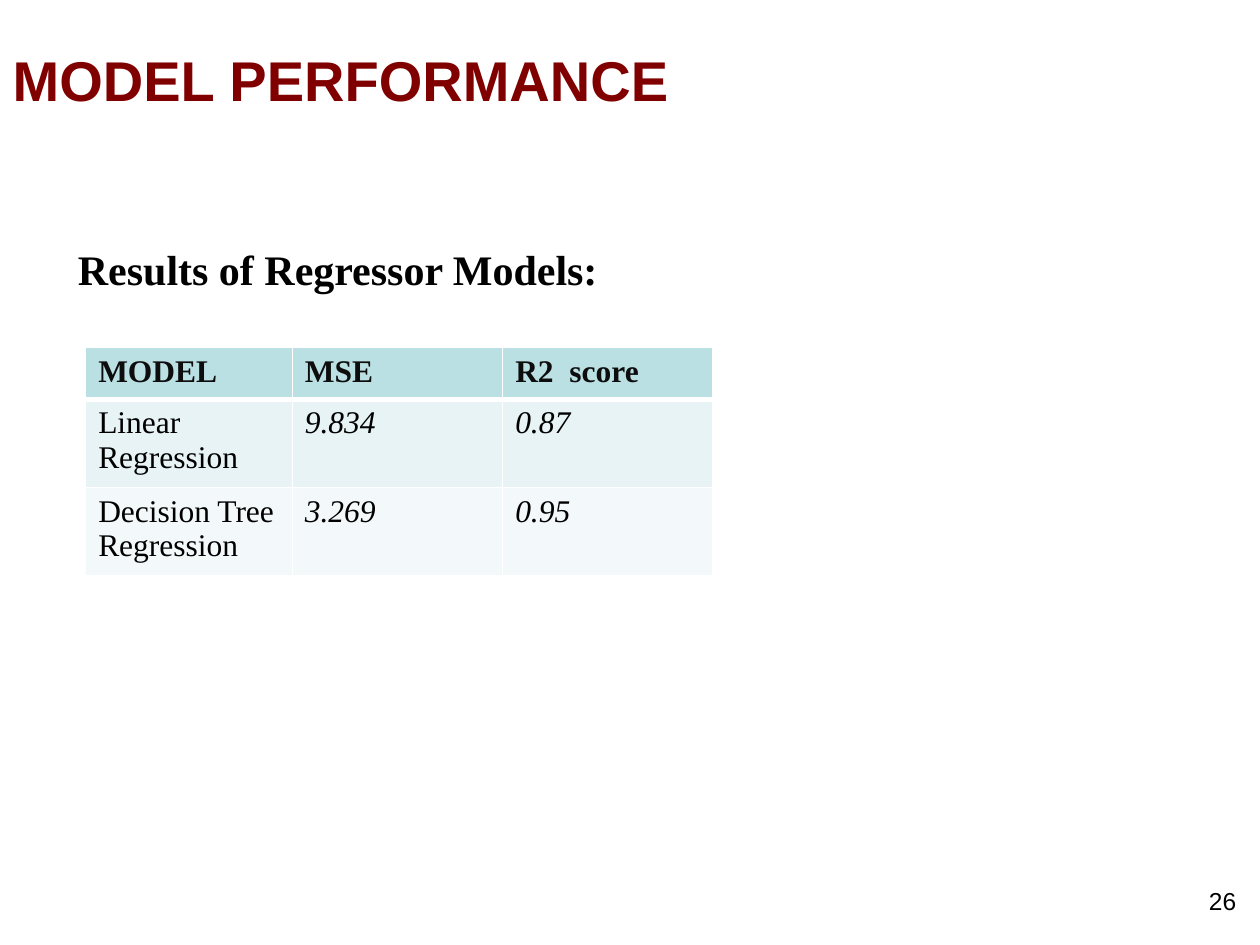
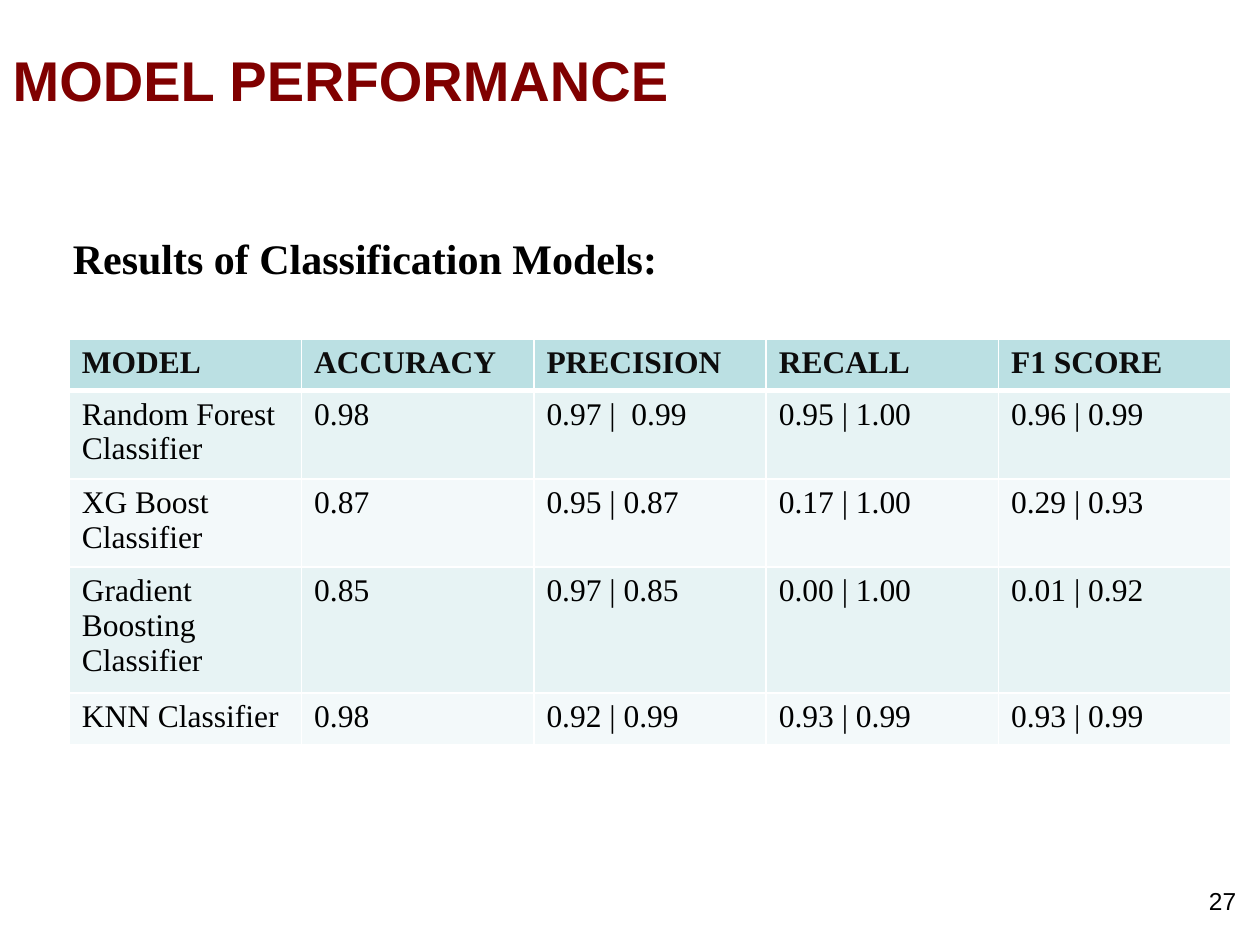
from dataclasses import dataclass

from lxml.etree import SubElement
from pptx import Presentation
from pptx.dml.color import RGBColor
from pptx.enum.text import MSO_ANCHOR, MSO_AUTO_SIZE, PP_ALIGN
from pptx.oxml.ns import qn
from pptx.util import Inches, Pt

TITLE_ONLY = 5
GRID_COLUMNS, GRID_ROWS = 100, 75


@dataclass(frozen=True)
class Theme:
    maroon: str = "800000"
    black: str = "000000"
    header_ink: str = "0D0D0D"
    header_fill: str = "BBE0E3"
    band_fills: tuple = ("E7F3F4", "F3F9FA")
    rule: str = "FFFFFF"
    sans: str = "Arial"
    serif: str = "Times New Roman"
    title_size: int = 32
    heading_size: int = 24
    table_size: int = 18
    number_size: int = 14
    thin_rule: int = 1
    thick_rule: int = 3


class ResultsDeck:
    def __init__(self, theme):
        self.theme = theme
        self.deck = Presentation()
        self.deck.slide_width = Inches(10)
        self.deck.slide_height = Inches(7.5)
        self.slide = None

    def place(self, left, top, width, height):
        column = self.deck.slide_width / GRID_COLUMNS
        row = self.deck.slide_height / GRID_ROWS
        return [round(n * unit) for n, unit in
                zip((left, top, width, height), (column, row, column, row))]

    def fill_text(self, frame, text, color, align=PP_ALIGN.LEFT, **font_format):
        paragraph = frame.paragraphs[0]
        paragraph.alignment = align
        run = paragraph.add_run()
        run.text = text
        for attribute, value in font_format.items():
            setattr(run.font, attribute, value)
        run.font.color.rgb = RGBColor.from_string(color)

    def start_slide(self, title, number):
        self.slide = self.deck.slides.add_slide(self.deck.slide_layouts[TITLE_ONLY])
        self.title(title)
        self.page_number(number)

    def title(self, text):
        theme = self.theme
        heading = self.slide.shapes.title
        sides = ("left", "top", "width", "height")
        for side, length in zip(sides, self.place(0, 0, 87.5, 12.5)):
            setattr(heading, side, length)
        frame_format = {"vertical_anchor": MSO_ANCHOR.MIDDLE,
                        "auto_size": MSO_AUTO_SIZE.NONE, "word_wrap": True}
        for attribute, value in frame_format.items():
            setattr(heading.text_frame, attribute, value)
        self.fill_text(heading.text_frame, text, theme.maroon,
                       name=theme.sans, size=Pt(theme.title_size), bold=True)

    def text(self, area, content, wrap=True, **style):
        frame = self.slide.shapes.add_textbox(*self.place(*area)).text_frame
        frame.word_wrap = wrap
        self.fill_text(frame, content, self.theme.black, **style)
        return frame

    def page_number(self, number):
        self.text((75.8, 69.8, 23.3, 5.2), str(number), align=PP_ALIGN.RIGHT,
                  name=self.theme.sans, size=Pt(self.theme.number_size))

    def subheading(self, area, content, wrap=True):
        frame = self.text(area, content, wrap, name=self.theme.serif,
                          size=Pt(self.theme.heading_size), bold=True)
        frame.auto_size = MSO_AUTO_SIZE.SHAPE_TO_FIT_TEXT

    def border(self, cell, **widths):
        properties = cell._tc.get_or_add_tcPr()
        for side in "LRTB":
            width = widths.get(side, self.theme.thin_rule)
            line = SubElement(properties, qn(f"a:ln{side}"), w=str(Pt(width)))
            fill = SubElement(line, qn("a:solidFill"))
            SubElement(fill, qn("a:srgbClr"), val=self.theme.rule)

    def table(self, left, top, column_widths, row_heights, records, italic_scores=False):
        theme = self.theme
        area = self.place(left, top, sum(column_widths), sum(row_heights))
        grid = self.slide.shapes.add_table(len(records), len(records[0]), *area).table
        grid.horz_banding = False
        for column, width in zip(grid.columns, column_widths):
            column.width = self.place(0, 0, width, 0)[2]
        for row, height in zip(grid.rows, row_heights):
            row.height = self.place(0, 0, 0, height)[3]
        for r, record in enumerate(records):
            header = r == 0
            fill = theme.header_fill if header else theme.band_fills[(r - 1) % 2]
            ink = theme.header_ink if header else theme.black
            thick_side = {0: "B", 1: "T"}.get(r)
            rules = {thick_side: theme.thick_rule} if thick_side else {}
            for c, value in enumerate(record):
                cell = grid.cell(r, c)
                self.border(cell, **rules)
                cell.fill.solid()
                cell.fill.fore_color.rgb = RGBColor.from_string(fill)
                self.fill_text(cell.text_frame, value, ink, name=theme.serif,
                               size=Pt(theme.table_size), bold=header,
                               italic=italic_scores and not header and c > 0)


REGRESSORS = [
    ("MODEL", "MSE", "R2  score"),
    ("Linear Regression", "9.834", "0.87"),
    ("Decision Tree Regression", "3.269", "0.95"),
]
CLASSIFIERS = [
    ("MODEL", "ACCURACY", "PRECISION", "RECALL", "F1 SCORE"),
    ("Random Forest Classifier", "0.98", "0.97 |  0.99", "0.95 | 1.00", "0.96 | 0.99"),
    ("XG Boost Classifier", "0.87", "0.95 | 0.87", "0.17 | 1.00", "0.29 | 0.93"),
    ("Gradient Boosting Classifier", "0.85", "0.97 | 0.85", "0.00 | 1.00", "0.01 | 0.92"),
    ("KNN Classifier", "0.98", "0.92 | 0.99", "0.93 | 0.99", "0.93 | 0.99"),
]


def main():
    results = ResultsDeck(Theme())

    results.start_slide("MODEL PERFORMANCE", 26)
    results.table(6.8, 27.6, [16.4, 16.7, 16.7], [4.1] * 3, REGRESSORS, italic_scores=True)
    results.subheading((5.2, 18.8, 53, 5), "Results of Regressor Models:")

    results.start_slide("MODEL PERFORMANCE", 27)
    results.table(5.5, 26.9, [18.44] * 5, [4.1, 4.1, 5.7, 5.7, 4.1], CLASSIFIERS)
    results.subheading((4.8, 18, 48.4, 5), "Results of Classification Models:", wrap=False)

    results.deck.save("out.pptx")


if __name__ == "__main__":
    main()
